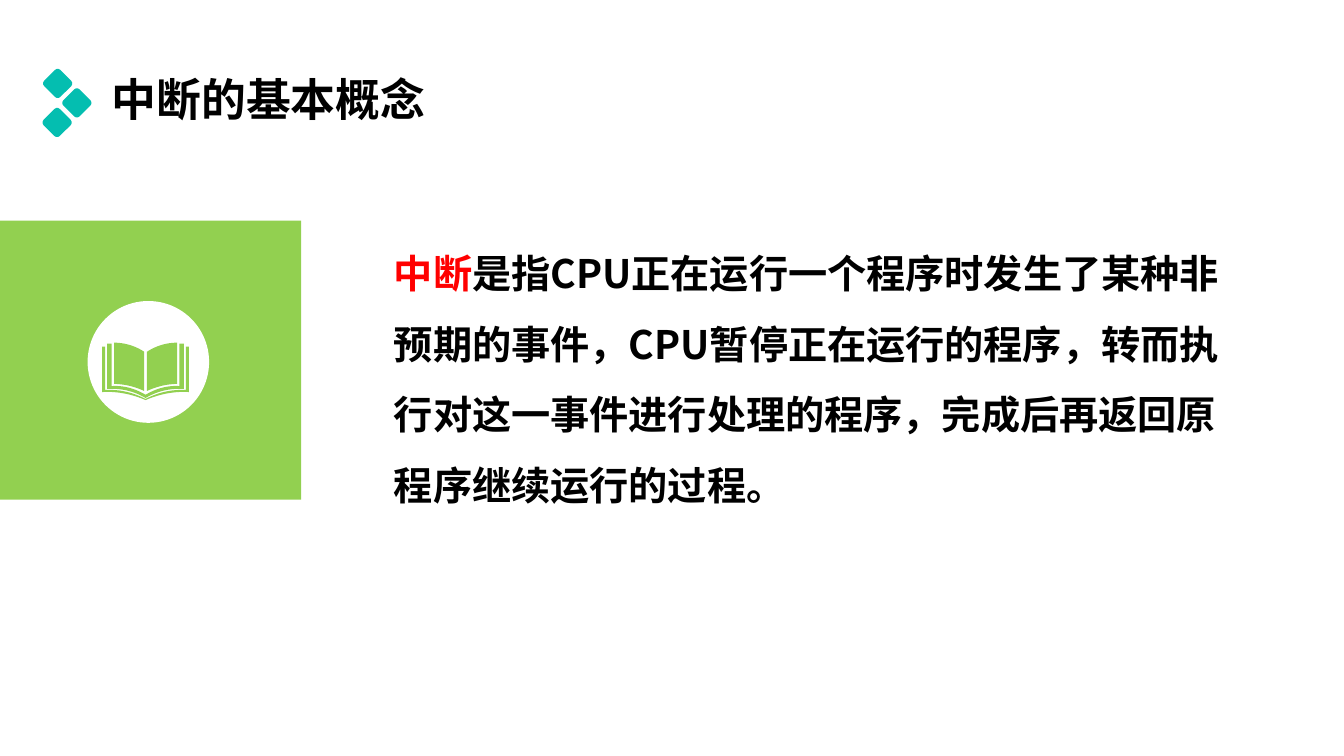
import pptx
import pptx.util
import pptx.dml.color
import pptx.enum.shapes
import pptx.enum.text
import lxml.etree

Pt = pptx.util.Pt
RGB = pptx.dml.color.RGBColor
KIND = pptx.enum.shapes.MSO_SHAPE
ANCHOR = pptx.enum.text.MSO_ANCHOR
GREEN = RGB(0x92, 0xD0, 0x50)
TEAL = RGB(0x04, 0xBE, 0xB0)
WHITE = RGB(0xFF, 0xFF, 0xFF)
BLACK = RGB(0, 0, 0)
RED = RGB(0xFF, 0, 0)
FONT = "Noto Sans CJK SC"

BANDS = [
    ([(0, 41), (10, 36.7), (20.5, 34.6), (31, 35.3)],
     [(31, 2.9), (28.8, 2.9)],
     [(28.8, 33.8), (18.5, 33.3), (9, 35.5), (0, 40.2)]),
    ([(0, 39.5), (8.5, 34.5), (18, 32.4), (27.4, 33.1)],
     [(27.4, 0.7), (24.2, 0.7)],
     [(24.2, 31), (16, 30.5), (8, 32.5), (0, 37.2)]),
]
PAGE = ([(1, 6.5), (7.5, 2.2), (15, 0), (22.5, 0)],
        [],
        [(22.5, 29.5), (15, 29.5), (7.5, 31.5), (1, 34.5)])


def paint(shape, color):
    shape.shadow.inherit = False
    shape.fill.solid()
    shape.fill.fore_color.rgb = color
    shape.line.fill.background()


def block(slide, kind, box, color):
    shape = slide.shapes.add_shape(kind, *map(Pt, box))
    paint(shape, color)
    return shape


def bend(ends, steps=12):
    dots = []
    for step in range(steps + 1):
        t = step / steps
        parts = ((1 - t) ** 3, 3 * t * (1 - t) ** 2, 3 * t * t * (1 - t), t ** 3)
        dots.append(tuple(sum(p * end[axis] for p, end in zip(parts, ends))
                          for axis in (0, 1)))
    return dots


def half(first, turns, last):
    return bend(first) + turns + bend(last)


def flip(dots):
    return [(-x, y) for x, y in reversed(dots)]


def book(slide, mid, top):
    sides = [half(*band) for band in BANDS]
    page = half(*PAGE)
    loops = [side + flip(side) for side in sides] + [page, flip(page)]
    pen = None
    for loop in loops:
        dots = [(Pt(mid + x), Pt(top + y)) for x, y in loop]
        if pen is None:
            pen = slide.shapes.build_freeform(*dots[0])
        else:
            pen.move_to(*dots[0])
        pen.add_line_segments(dots[1:], close=True)
    paint(pen.convert_to_shape(), GREEN)


def panel(slide, box):
    left, top, width, height = box
    block(slide, KIND.RECTANGLE, box, GREEN)
    block(slide, KIND.OVAL, (left + 62.6, top + 57.4, 86.8, 87), WHITE)
    book(slide, left + 104, top + 87.2)


def write(slide, box, runs, space, anchor, size):
    frame = slide.shapes.add_textbox(*map(Pt, box)).text_frame
    for name, value in {"word_wrap": True, "vertical_anchor": anchor}.items():
        setattr(frame, name, value)
    para = frame.paragraphs[0]
    para.line_spacing = space
    for text, color in runs:
        run = para.add_run()
        run.text = text
        for name, value in {"name": FONT, "size": Pt(size), "bold": True}.items():
            setattr(run.font, name, value)
        run.font.color.rgb = color
        east = lxml.etree.SubElement(run.font._element, pptx.oxml.ns.qn("a:ea"))
        east.set("typeface", FONT)


def head(slide, box):
    left, top, width, height = box
    side = 16.3
    for x, y in ((-31.5, 38.7), (-17.8, 52.6), (-31.9, 66.6)):
        gem = block(slide, KIND.ROUNDED_RECTANGLE,
                    (left + x - side / 2, top + y - side / 2, side, side), TEAL)
        gem.adjustments[0] = 0.16
        gem.rotation = 45
    write(slide, (left, top, width, height), [("中断的基本概念", BLACK)],
          0.9, ANCHOR.MIDDLE, 32)


def body(slide, box):
    runs = [("中断", RED),
            ("是指CPU正在运行一个程序时发生了某种非预期的事件，CPU暂停正在运行的程序，"
             "转而执行对这一事件进行处理的程序，完成后再返回原程序继续运行的过程。", BLACK)]
    write(slide, box, runs, 1.5, ANCHOR.TOP, 28)


def main():
    deck = pptx.Presentation()
    deck.slide_width, deck.slide_height = Pt(960), Pt(540)
    slide = deck.slides.add_slide(deck.slide_layouts[6])
    panel(slide, (0, 157.6, 215.2, 199.4))
    body(slide, (274.3, 157.7, 612.7, 211))
    head(slide, (72.7, 20.9, 828, 104.4))
    deck.save("out.pptx")


if __name__ == "__main__":
    main()
